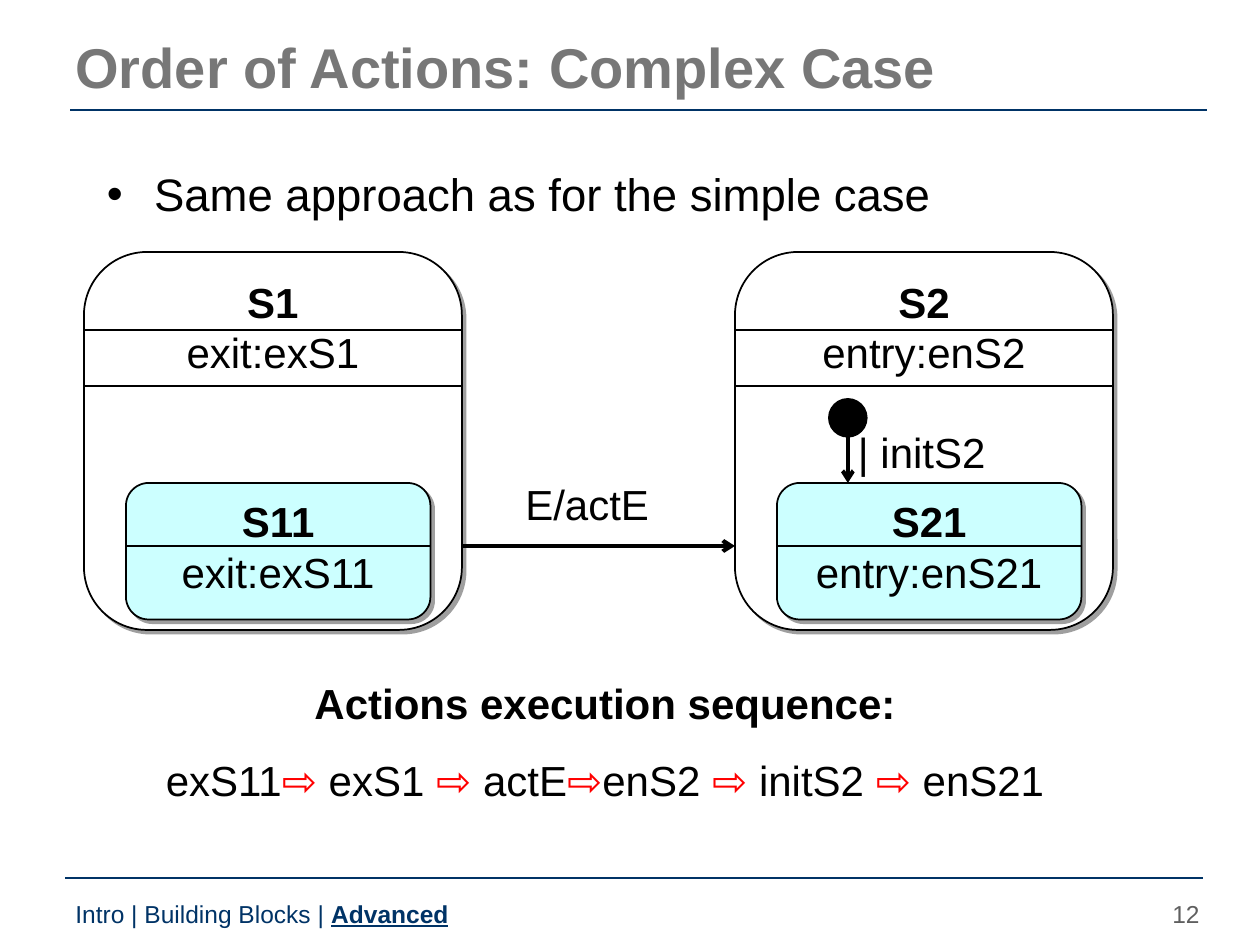
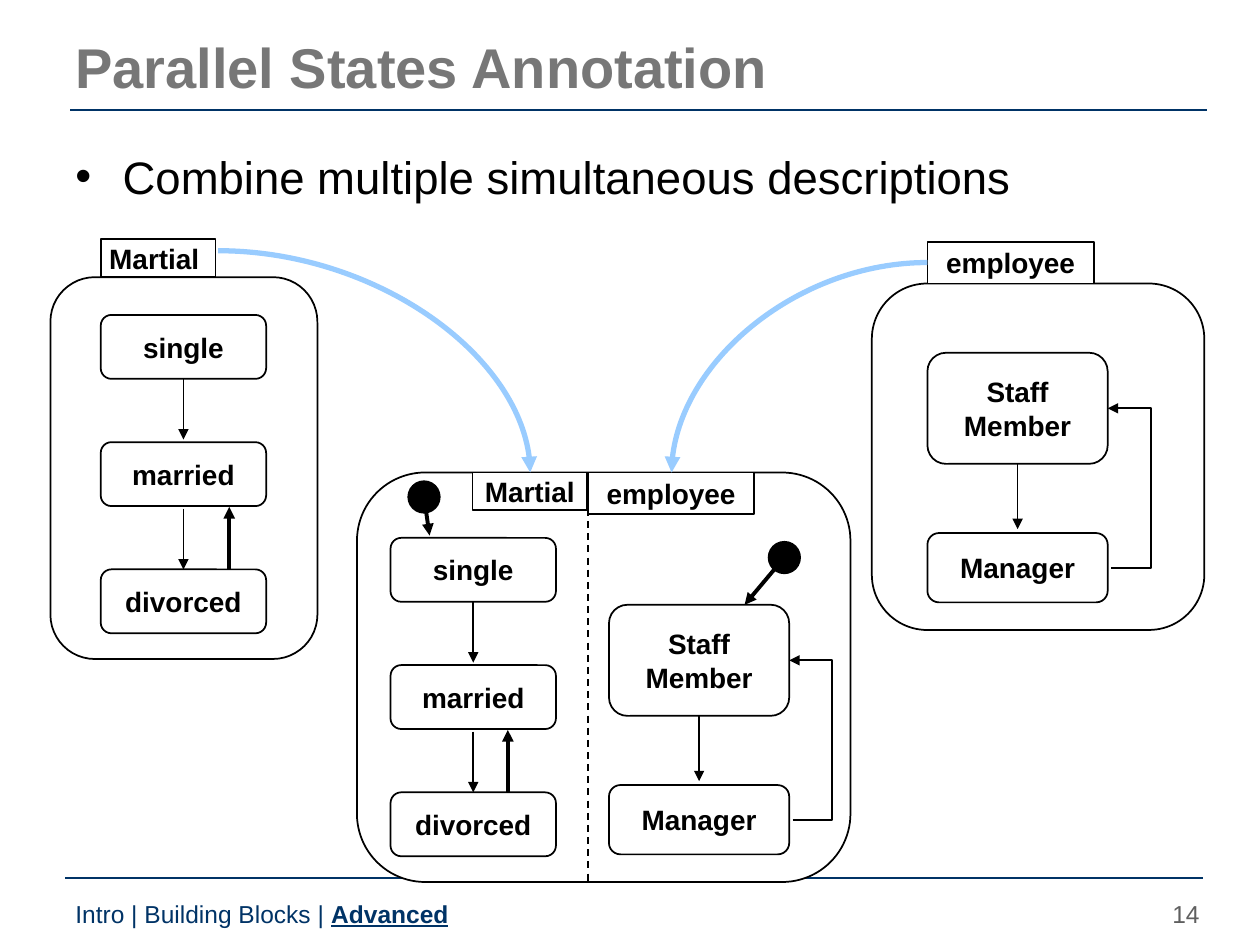
from lxml import etree
from pptx import Presentation
from pptx.dml.color import RGBColor
from pptx.enum.dml import MSO_LINE
from pptx.enum.shapes import MSO_CONNECTOR as CONN, MSO_SHAPE as SHAPE
from pptx.enum.text import MSO_ANCHOR as ANCHOR, PP_ALIGN as ALIGN
from pptx.oxml.ns import qn
from pptx.util import Pt

BLACK = RGBColor(0x00, 0x00, 0x00)
WHITE = RGBColor(0xFF, 0xFF, 0xFF)
NAVY = RGBColor(0x00, 0x33, 0x66)
TITLE_GRAY = RGBColor(0x77, 0x77, 0x77)
NUMBER_GRAY = RGBColor(0x5F, 0x5F, 0x5F)
CYAN = RGBColor(0xCC, 0xFF, 0xFF)
SKY = RGBColor(0x99, 0xCC, 0xFF)
RED = RGBColor(0xFF, 0x00, 0x00)
FONT = "Arial"


def add_box(s, kind, x, y, w, h, paras=(), size=16, fill=WHITE,
            align=ALIGN.CENTER, anchor=ANCHOR.MIDDLE, wrap=False):
    """Add a shape, or a text box if kind is None; a run is (text, colour, bold)."""
    at = Pt(x), Pt(y), Pt(w), Pt(h)
    if kind is None:
        sp = s.shapes.add_textbox(*at)
    else:
        sp = s.shapes.add_shape(kind, *at)
        sp.shadow.inherit = False
        sp.fill.solid()
        sp.fill.fore_color.rgb = fill
        sp.line.color.rgb = BLACK
        sp.line.width = Pt(1)
    tf = sp.text_frame
    tf.word_wrap = wrap
    tf.vertical_anchor = anchor
    for i, runs in enumerate(paras):
        p = tf.add_paragraph() if i else tf.paragraphs[0]
        p.alignment = align
        for text, color, bold in runs:
            r = p.add_run()
            r.text = text
            r.font.name = FONT
            r.font.size = Pt(size)
            r.font.bold = bold
            r.font.color.rgb = color
    return sp


def add_line(s, x1, y1, x2, y2, head=None, width=1, color=BLACK, kind=CONN.STRAIGHT):
    c = s.shapes.add_connector(kind, Pt(x1), Pt(y1), Pt(x2), Pt(y2))
    c.line.color.rgb = color
    c.line.width = Pt(width)
    spPr = c._element.spPr
    if head:
        etree.SubElement(spPr.find(qn("a:ln")), qn("a:tailEnd"), type=head)
    etree.SubElement(spPr, qn("a:effectLst"))
    return c


prs = Presentation()
prs.slide_width, prs.slide_height = Pt(720), Pt(540)

# Title, rules, bullet and footer of every slide
slides = []
for title, number, bullet, bullet_x, bullet_y in [
    ("Order of Actions: Complex Case", "12",
     "Same approach as for the simple case", 54, 91.5),
    ("Parallel States Annotation", "14",
     "Combine multiple simultaneous descriptions", 36, 81.5),
]:
    s = prs.slides.add_slide(prs.slide_layouts[6])
    slides.append(s)
    add_line(s, 40.3, 63, 690, 63, color=NAVY)
    add_line(s, 37.4, 501.6, 687.6, 501.6, color=NAVY)
    add_box(s, None, 36, 13.7, 648, 48, [[(title, TITLE_GRAY, True)]],
            size=32, align=ALIGN.LEFT, wrap=True)
    sp = add_box(s, None, bullet_x, bullet_y, 612, 47, [[(bullet, BLACK, False)]],
                 size=26, align=ALIGN.LEFT, anchor=ANCHOR.TOP, wrap=True)
    pPr = sp.text_frame.paragraphs[0]._p.get_or_add_pPr()
    pPr.set("marL", str(Pt(27)))
    pPr.set("indent", str(-Pt(27)))
    etree.SubElement(pPr, qn("a:buFont"), typeface=FONT)
    etree.SubElement(pPr, qn("a:buChar"), char="•")
    sp = add_box(s, None, 36, 510, 462, 18,
                 [[("Intro | Building Blocks | ", NAVY, False), ("Advanced", NAVY, True)]],
                 size=14, align=ALIGN.LEFT, anchor=ANCHOR.TOP, wrap=True)
    sp.text_frame.paragraphs[0].runs[1].font.underline = True
    add_box(s, None, 656.6, 510, 36, 18, [[(number, NUMBER_GRAY, False)]],
            size=14, align=ALIGN.RIGHT, anchor=ANCHOR.TOP, wrap=True)

# Slide 12: nested states with their actions
s = slides[0]
for x, outer, outer_action, inner, inner_action in [
    (48, "S1", "exit:exS1", "S11", "exit:exS11"),
    (420, "S2", "entry:enS2", "S21", "entry:enS21"),
]:
    for name, action, left, top, w, h, fill, dividers in [
        (outer, outer_action, x, 144, 216, 216, WHITE, (188.5, 220.5)),
        (inner, inner_action, x + 24, 276, 174, 78, CYAN, (312,)),
    ]:
        sp = add_box(s, SHAPE.ROUNDED_RECTANGLE, left, top, w, h,
                     [[(name, BLACK, True)], [(action, BLACK, False)]],
                     size=24, fill=fill, anchor=ANCHOR.TOP)
        shadow = etree.SubElement(sp._element.spPr.find(qn("a:effectLst")), qn("a:outerShdw"),
                                  dist=str(Pt(3)), dir="2700000", algn="ctr", rotWithShape="0")
        color = etree.SubElement(shadow, qn("a:srgbClr"), val="808080")
        etree.SubElement(color, qn("a:alpha"), val="75000")
        for y in dividers:
            add_line(s, left, y, left + w, y)

# Transitions, with labels wide enough to stay on one line
add_line(s, 484.5, 238.5, 484.5, 276, "arrow", 2.25)
add_box(s, SHAPE.OVAL, 473.7, 228, 21.6, 21.6, fill=BLACK)
add_box(s, None, 480.7, 240, 92, 36, [[("| initS2", BLACK, False)]], size=24)
add_line(s, 264, 312, 420, 312, "arrow", 2.25)
add_box(s, None, 290.5, 270, 90, 36, [[("E/actE", BLACK, False)]], size=24)

# Execution sequence
arrow = ("⇨", RED, False)
sequence = [("exS11", BLACK, False)]
for step in (" exS1 ", " actE", "enS2 ", " initS2 ", " enS21"):
    sequence += [arrow, (step, BLACK, False)]
sp = add_box(s, None, 77, 383.5, 537.5, 80,
             [[("Actions execution sequence:", BLACK, True)], sequence], size=24)
sp.text_frame.paragraphs[1].space_before = Pt(15)

# Slide 14: frames of the two separate machines and the combined one
s = slides[1]
for frame in [(498.2, 162, 190, 198), (28.8, 158.4, 152.6, 218.2), (204, 270, 282, 234)]:
    add_box(s, SHAPE.ROUNDED_RECTANGLE, *frame)

# Name labels
for text, x, y, w, h in [
    ("employee", 530, 138.2, 95, 23.8),
    ("employee", 336, 270, 95, 23.8),
    ("Martial ", 57.6, 136.8, 65.5, 21.6),
    ("Martial", 270, 270, 65.5, 21.6),
]:
    add_box(s, SHAPE.RECTANGLE, x, y, w, h, [[(text, BLACK, True)]])

# Employee machine, alone and combined
for x, y in [(530, 201.6), (348, 345.6)]:
    w, h = 103, 63.5
    staff = add_box(s, SHAPE.ROUNDED_RECTANGLE, x, y, w, h,
                    [[("Staff", BLACK, True)], [("Member", BLACK, True)]])
    add_box(s, SHAPE.ROUNDED_RECTANGLE, x, y + 103, w, 39.6, [[("Manager", BLACK, True)]])
    c = add_line(s, x + w / 2, y + h, x + w / 2, y + 100.8, "triangle")
    c.begin_connect(staff, 2)
    c = add_line(s, x + w + 2, y + 123, x + w, y + h / 2, "triangle", kind=CONN.ELBOW)
    geom = c._element.spPr.find(qn("a:prstGeom"))
    etree.SubElement(geom.find(qn("a:avLst")), qn("a:gd"), name="adj1", fmla="val -1125000")

# Marital machine, alone and combined
for x, y, back_x in [(57.6, 180, 131), (223.2, 307.4, 290.2)]:
    w, h, step = 94.5, 36.5, 72.7
    single, married, divorced = [
        add_box(s, SHAPE.ROUNDED_RECTANGLE, x, y + i * step, w, h, [[(name, BLACK, True)]])
        for i, name in enumerate(("single", "married", "divorced"))
    ]
    mid = x + w / 2
    c = add_line(s, mid, y + h, mid, y + step - 1.5, "triangle")
    c.begin_connect(single, 2)
    c = add_line(s, mid, y + step + h + 1.5, mid, y + 2 * step, "triangle")
    c.end_connect(divorced, 0)
    add_line(s, back_x, y + 2 * step - 0.5, back_x, y + step + h + 0.5, "triangle", 2.25)

# Divider between the parallel states
c = add_line(s, 336, 270, 336, 504)
c.line.dash_style = MSO_LINE.DASH

# Curves into the combined machine
for ends in [(124.6, 143.3, 303, 270), (530, 150, 383.8, 270)]:
    c = add_line(s, *ends, "triangle", 3, SKY, CONN.CURVE)
    c._element.spPr.find(qn("a:prstGeom")).set("prst", "curvedConnector2")

# Initial states
for x, y, to_x, to_y in [(439.2, 309.6, 425.5, 345.6), (233.3, 275, 245.5, 306)]:
    add_box(s, SHAPE.OVAL, x, y, 18, 18, fill=BLACK)
    add_line(s, x + 9, y + 9, to_x, to_y, "triangle", 2.25)

prs.save("out.pptx")
